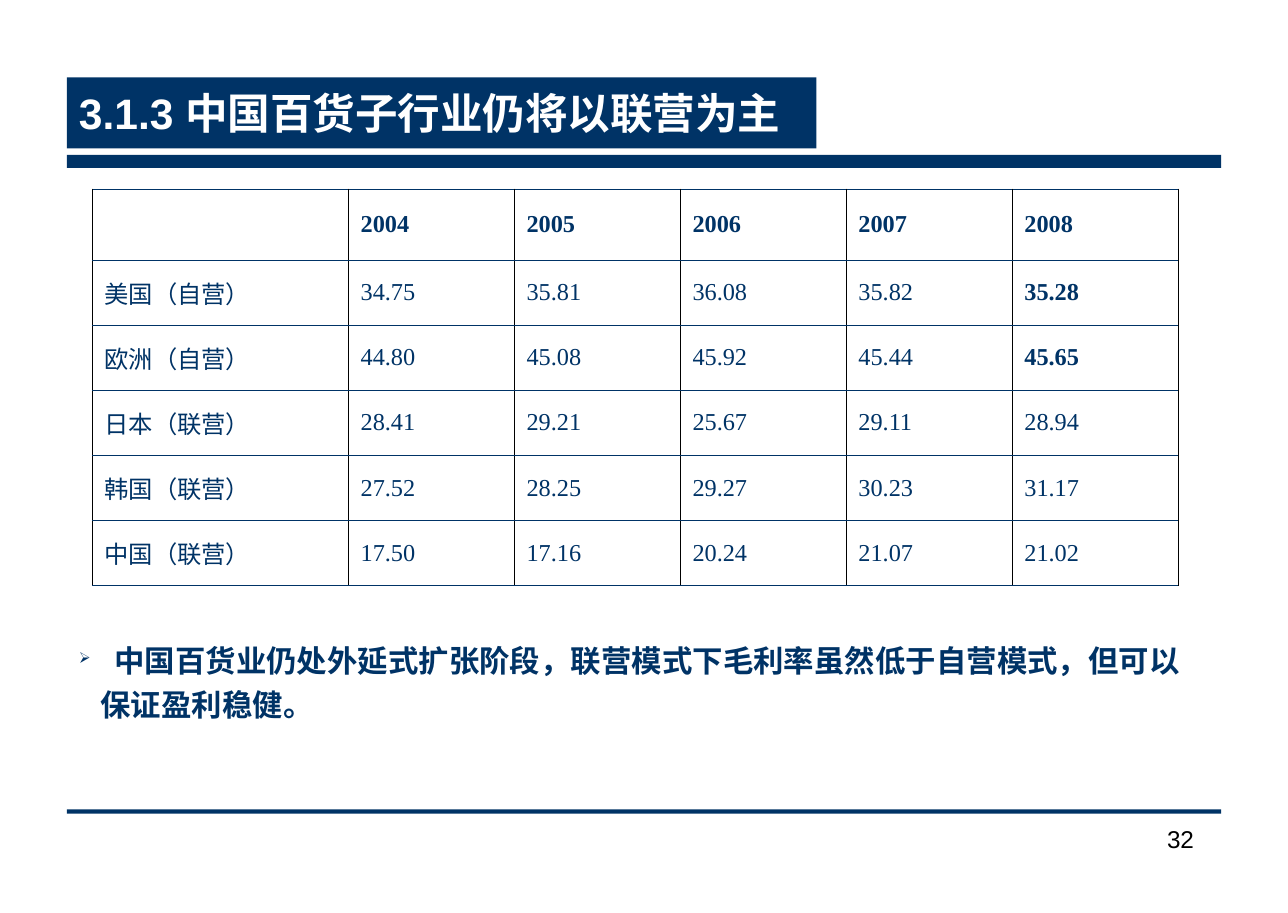
from dataclasses import dataclass

from lxml import etree
from pptx import Presentation
from pptx.dml.color import RGBColor
from pptx.enum.shapes import MSO_SHAPE
from pptx.enum.text import MSO_ANCHOR, PP_ALIGN
from pptx.oxml.ns import qn
from pptx.util import Pt

RECTANGLE = MSO_SHAPE.RECTANGLE
MIDDLE = MSO_ANCHOR.MIDDLE
LEFT = PP_ALIGN.LEFT
RIGHT = PP_ALIGN.RIGHT

NAVY = "003366"
BLACK = "000000"
WHITE = "FFFFFF"
CJK_FONT = "Noto Sans CJK SC"


@dataclass(frozen=True)
class Box:
    left: float
    top: float
    width: float
    height: float

    def lengths(self) -> tuple:
        return Pt(self.left), Pt(self.top), Pt(self.width), Pt(self.height)


@dataclass(frozen=True)
class TextStyle:
    size: float
    color: str
    bold: bool = False
    font: str = "Arial"


@dataclass(frozen=True)
class MarginRow:
    region: str
    values: tuple[str, ...]
    bold_last: bool = False


YEARS = ("2004", "2005", "2006", "2007", "2008")
MARGIN_ROWS = (
    MarginRow("美国（自营）", ("34.75", "35.81", "36.08", "35.82", "35.28"), True),
    MarginRow("欧洲（自营）", ("44.80", "45.08", "45.92", "45.44", "45.65"), True),
    MarginRow("日本（联营）", ("28.41", "29.21", "25.67", "29.11", "28.94")),
    MarginRow("韩国（联营）", ("27.52", "28.25", "29.27", "30.23", "31.17")),
    MarginRow("中国（联营）", ("17.50", "17.16", "20.24", "21.07", "21.02")),
)

TITLE_BAR = Box(44, 50.9, 493.2, 46.8)
RULES = (Box(44, 102, 759.6, 8.6), Box(44, 532.8, 759.6, 2.9))
TABLE_BOX = Box(60.9, 124.4, 714.5, 261)
CONCLUSION_BOX = Box(44, 413.8, 753.8, 67.7)
PAGE_NUMBER_BOX = Box(729.7, 538.3, 64, 41.8)
REGION_WIDTH = 168.5
HEADER_HEIGHT = 46.8


def rgb(color: str) -> RGBColor:
    return RGBColor.from_string(color)


def style_paragraph(paragraph, style: TextStyle) -> None:
    font = paragraph.font
    font.size = Pt(style.size)
    font.bold = style.bold
    font.name = style.font
    font.color.rgb = rgb(style.color)
    defaults = paragraph._p.pPr.find(qn("a:defRPr"))
    etree.SubElement(defaults, qn("a:ea"), typeface=CJK_FONT)


def add_gap(paragraph, spacing: float) -> None:
    gap = paragraph.add_run()
    gap.text = " "
    gap._r.get_or_add_rPr().set("spc", str(round(spacing * 100)))


def add_bar(slide, box: Box):
    bar = slide.shapes.add_shape(RECTANGLE, *box.lengths())
    bar.shadow.inherit = False
    bar.fill.solid()
    bar.fill.fore_color.rgb = rgb(NAVY)
    bar.line.fill.background()
    return bar


def prepare_frame(frame) -> None:
    frame.word_wrap = True
    frame.margin_left = frame.margin_right = Pt(8)
    frame.margin_top = frame.margin_bottom = Pt(4)


def add_title(slide) -> None:
    frame = add_bar(slide, TITLE_BAR).text_frame
    prepare_frame(frame)
    frame.vertical_anchor = MIDDLE
    title = frame.paragraphs[0]
    title.alignment = LEFT
    title.text = "3.1.3 中国百货子行业仍将以联营为主"
    style_paragraph(title, TextStyle(28, WHITE, True))


def add_text_paragraph(slide, box: Box):
    frame = slide.shapes.add_textbox(*box.lengths()).text_frame
    prepare_frame(frame)
    return frame.paragraphs[0]


def add_bullet(paragraph, symbol: str, color: str, percent: int, indent: float) -> None:
    properties = paragraph._p.get_or_add_pPr()
    properties.set("marL", str(Pt(indent)))
    properties.set("indent", str(-Pt(indent)))
    bullet_color = etree.SubElement(properties, qn("a:buClr"))
    etree.SubElement(bullet_color, qn("a:srgbClr"), val=color)
    etree.SubElement(properties, qn("a:buSzPct"), val=str(percent * 1000))
    etree.SubElement(properties, qn("a:buChar"), char=symbol)


def add_conclusion(slide) -> None:
    conclusion = add_text_paragraph(slide, CONCLUSION_BOX)
    conclusion.line_spacing = 1.2
    conclusion.space_before = conclusion.space_after = Pt(5)
    add_bullet(conclusion, "➢", NAVY, 50, 14.2)
    add_gap(conclusion, 4.5)
    conclusion.add_run().text = (
        "中国百货业仍处外延式扩张阶段，联营模式下毛利率虽然低于自营模式，"
        "但可以保证盈利稳健。"
    )
    style_paragraph(conclusion, TextStyle(20, NAVY, True))


def add_page_number(slide) -> None:
    number = add_text_paragraph(slide, PAGE_NUMBER_BOX)
    number.text = "32"
    number.alignment = RIGHT
    style_paragraph(number, TextStyle(16, BLACK))


def set_border(cell, side: str, color: str, width: float) -> None:
    properties = cell._tc.get_or_add_tcPr()
    line = etree.SubElement(properties, qn(f"a:ln{side}"), w=str(Pt(width)))
    fill = etree.SubElement(line, qn("a:solidFill"))
    etree.SubElement(fill, qn("a:srgbClr"), val=color)


def fill_cell(cell, text: str, bold: bool, row: int) -> None:
    set_border(cell, "L", BLACK, 0.34)
    set_border(cell, "R", BLACK, 0.34)
    set_border(cell, "T", NAVY, 0.45 if row <= 1 else 0.06)
    set_border(cell, "B", NAVY, 0.45 if row == 0 else 0.06)
    cell.fill.background()
    cell.vertical_anchor = MIDDLE
    cell.margin_left = cell.margin_right = Pt(8)
    cell.margin_top = cell.margin_bottom = Pt(3.6)
    paragraph = cell.text_frame.paragraphs[0]
    paragraph.text = text
    style_paragraph(paragraph, TextStyle(16, NAVY, bold, "Times New Roman"))


def add_margin_table(slide) -> None:
    table = slide.shapes.add_table(
        len(MARGIN_ROWS) + 1, len(YEARS) + 1, *TABLE_BOX.lengths()
    ).table
    table.first_row = False
    table.horz_banding = False
    year_width = (TABLE_BOX.width - REGION_WIDTH) / len(YEARS)
    region_height = (TABLE_BOX.height - HEADER_HEIGHT) / len(MARGIN_ROWS)
    for index, column in enumerate(table.columns):
        column.width = Pt(year_width if index else REGION_WIDTH)
    for index, row in enumerate(table.rows):
        row.height = Pt(region_height if index else HEADER_HEIGHT)

    for column, year in enumerate(("", *YEARS)):
        fill_cell(table.cell(0, column), year, True, 0)
    for row, margins in enumerate(MARGIN_ROWS, 1):
        for column, text in enumerate((margins.region, *margins.values)):
            bold = margins.bold_last and column == len(YEARS)
            fill_cell(table.cell(row, column), text, bold, row)


def main() -> None:
    presentation = Presentation()
    presentation.slide_width = Pt(847.6)
    presentation.slide_height = Pt(601)
    slide = presentation.slides.add_slide(presentation.slide_layouts[6])
    for rule in RULES:
        add_bar(slide, rule)
    add_title(slide)
    add_conclusion(slide)
    add_margin_table(slide)
    add_page_number(slide)
    presentation.save("out.pptx")


if __name__ == "__main__":
    main()
